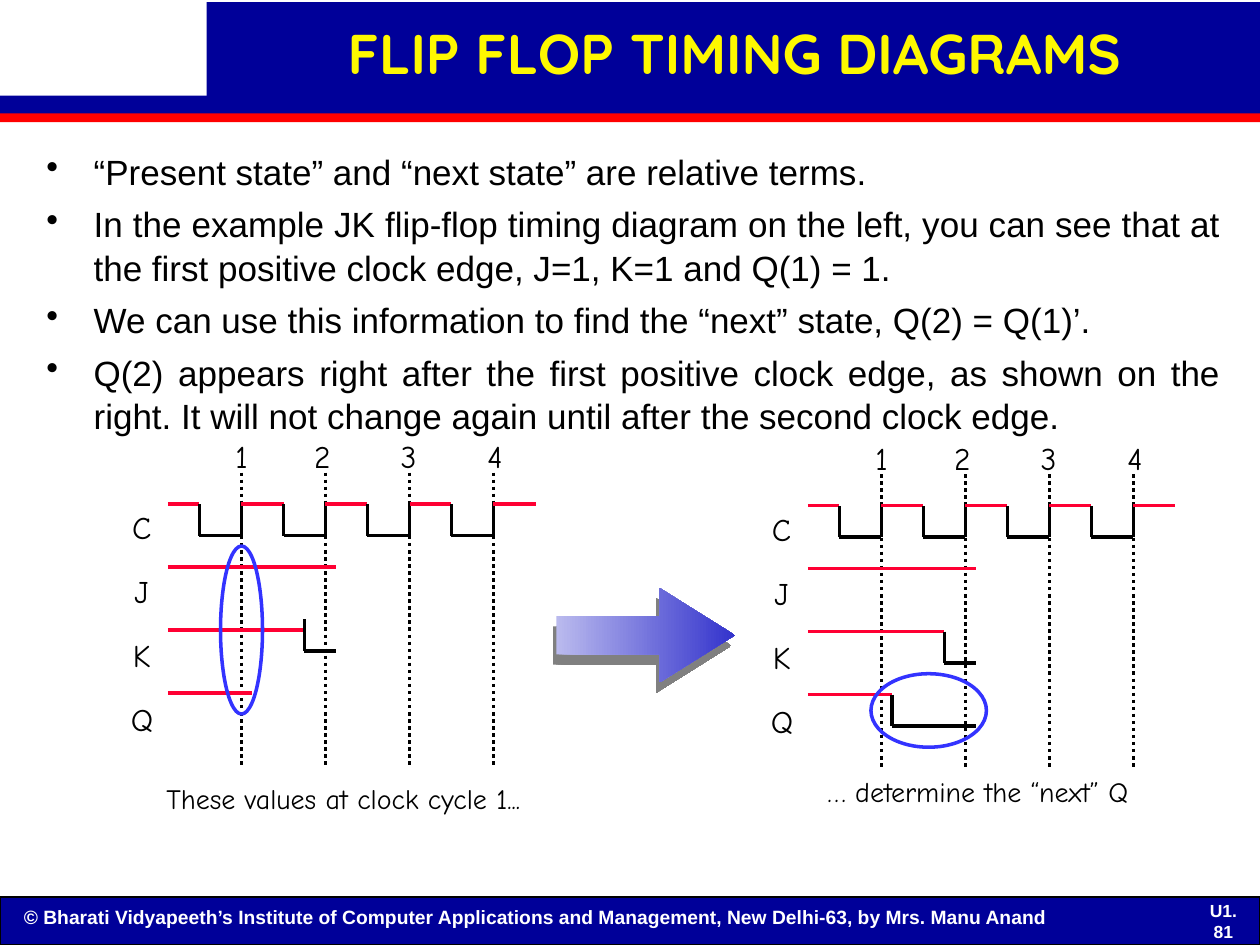
from lxml.etree import SubElement
from pptx import Presentation
from pptx.dml.color import RGBColor
from pptx.enum.dml import MSO_LINE
from pptx.enum.shapes import MSO_CONNECTOR, MSO_SHAPE
from pptx.enum.text import MSO_ANCHOR, PP_ALIGN
from pptx.oxml.ns import qn
from pptx.util import Pt

COLORS = {"navy": "000099", "red": "FF0000", "yellow": "FEF800", "white": "FFFFFF",
          "black": "000000", "high": "FF0033", "ring": "3333FF",
          "arrow start": "BABAEE", "arrow end": "3333CC", "shadow": "808080"}

# Content
TITLE = "FLIP FLOP TIMING DIAGRAMS"
BULLETS = [
    "“Present state” and “next state” are relative terms.",
    "In the example JK flip-flop timing diagram on the left, you can see that at "
    "the first positive clock edge, J=1, K=1 and Q(1) = 1.",
    "We can use this information to find the “next” state, Q(2) = Q(1)’.",
    "Q(2) appears right after the first positive clock edge, as shown on the "
    "right. It will not change again until after the second clock edge.",
]
FOOTER = ("© Bharati Vidyapeeth’s Institute of Computer Applications and Management, "
          "New Delhi-63, by Mrs. Manu Anand")
PAGE_NUMBER = "U1. 81"
SIGNALS = ["C", "J", "K", "Q"]
CYCLES = "1\t2\t3\t4"
CYCLE_TABS = [45, 94.5, 144]

# Diagram geometry: x counts from the start of the signals
HALF_CYCLE, FIRST_EDGE, SIGNAL_END = 24, 42, 96
CLOCK_HIGH, CLOCK_LOW = 288, 306
EDGES = [FIRST_EDGE + 2 * HALF_CYCLE * i for i in range(4)]

# Signal segments: (x1, y1, x2, y2, colour); rings and captions: left, top, width, height
DIAGRAMS = [
    {"x": 96, "dy": 0,
     "segments": [(0, 360, 78, 360, "high"), (78, 354, 78, 372, "black"),
                  (78, 372, SIGNAL_END, 372, "black"), (0, 396, 48, 396, "high")],
     "ring": (30, 312, 24, 96),
     "caption": "These values at clock cycle 1...", "caption box": (-8, 442.8, 217, 27)},
    {"x": 461.7, "dy": 1,
     "segments": [(0, 360, 78, 360, "high"), (78, 360, 78, 378, "black"),
                  (78, 378, SIGNAL_END, 378, "black"), (0, 396, 48, 396, "high"),
                  (48, 396, 48, 414, "black"), (48, 414, SIGNAL_END, 414, "black")],
     "ring": (36, 384, 66, 42),
     "caption": "… determine the “next” Q", "caption box": (4, 438.2, 186.5, 27)},
]

deck = Presentation()
deck.slide_width, deck.slide_height = Pt(720), Pt(540)
page = deck.slides.add_slide(deck.slide_layouts[6])


def rgb(name):
    return RGBColor.from_string(COLORS[name])


def add_figure(kind, area, fill=None, line=None, width=0.75):
    figure = page.shapes.add_shape(kind, *map(Pt, area))
    figure.shadow.inherit = False
    if fill:
        figure.fill.solid()
        figure.fill.fore_color.rgb = rgb(fill)
    else:
        figure.fill.background()
    if line:
        figure.line.color.rgb = rgb(line)
        figure.line.width = Pt(width)
    else:
        figure.line.fill.background()
    return figure


def add_line(x1, y1, x2, y2, color, dash=None):
    line = page.shapes.add_connector(MSO_CONNECTOR.STRAIGHT, *map(Pt, (x1, y1, x2, y2)))
    line.line.color.rgb = rgb(color)
    line.line.width = Pt(2)
    if dash:
        line.line.dash_style = dash
    SubElement(line._element.spPr, qn("a:effectLst"))


def add_text(area, texts, size, font="Arial", color="black", bold=False, wrap=True,
             align=PP_ALIGN.LEFT, anchor=MSO_ANCHOR.TOP, spacing=(None,),
             before=0, bullet=False, tabs=()):
    frame = page.shapes.add_textbox(*map(Pt, area)).text_frame
    frame.word_wrap = wrap
    frame.vertical_anchor = anchor
    for i, text in enumerate(texts):
        para = frame.add_paragraph() if i else frame.paragraphs[0]
        properties = para._p.get_or_add_pPr()
        if bullet:
            properties.set("marL", str(Pt(27)))
            properties.set("indent", str(-Pt(27)))
            SubElement(properties, qn("a:buChar"), char="•")
        if tabs:
            stops = SubElement(properties, qn("a:tabLst"))
            for stop in tabs:
                SubElement(stops, qn("a:tab"), pos=str(Pt(stop)), algn="l")
        para.alignment = align
        para.line_spacing = spacing[min(i, len(spacing) - 1)]
        if i and before:
            para.space_before = Pt(before)
        span = para.add_run()
        span.text = text
        span.font.size, span.font.name, span.font.bold = Pt(size), font, bold
        span.font.color.rgb = rgb(color)


# Header and footer
add_figure(MSO_SHAPE.RECTANGLE, (0, 512.6, 720, 27.4), "navy", "black")
add_figure(MSO_SHAPE.RECTANGLE, (0, 54.7, 720, 11), "navy")
add_figure(MSO_SHAPE.RECTANGLE, (0, 64.8, 720, 5), "red")
add_figure(MSO_SHAPE.RECTANGLE, (118, 1.2, 602, 58), "navy")
add_text((6.5, 514, 661, 21), [FOOTER], 11, color="white", bold=True)
add_text((680.4, 517.7, 37.4, 17.3), [PAGE_NUMBER], 10, color="white", bold=True,
         align=PP_ALIGN.CENTER, anchor=MSO_ANCHOR.MIDDLE)
add_text((117.4, 3.6, 604.8, 57.6), [TITLE], 32, "Quicksand", "yellow", True,
         align=PP_ALIGN.CENTER, anchor=MSO_ANCHOR.MIDDLE, spacing=(0.88,))

# Explanation
add_text((19.4, 81.5, 685.4, 170), BULLETS, 20, align=PP_ALIGN.JUSTIFY,
         spacing=(1.04,), before=5, bullet=True)

# Timing diagrams
for diagram in DIAGRAMS:
    x, dy = diagram["x"], diagram["dy"]
    segments = [(0, CLOCK_HIGH, FIRST_EDGE - HALF_CYCLE, CLOCK_HIGH, "high"),
                (0, 324, SIGNAL_END, 324, "high")]
    for edge in EDGES:
        fall = edge - HALF_CYCLE
        segments += [(fall, CLOCK_LOW, fall, CLOCK_HIGH, "black"),
                     (fall, CLOCK_LOW, edge, CLOCK_LOW, "black"),
                     (edge, CLOCK_LOW, edge, CLOCK_HIGH, "black"),
                     (edge, CLOCK_HIGH, edge + HALF_CYCLE, CLOCK_HIGH, "high")]
        add_line(x + edge, 270 + dy, x + edge, 438 + dy, "black", MSO_LINE.ROUND_DOT)
    for x1, y1, x2, y2, color in segments + diagram["segments"]:
        add_line(x + x1, y1 + dy, x + x2, y2 + dy, color)
    add_text((x - 28.3, 275.8 + dy, 26.6, 149.8), SIGNALS, 18, "Comic Neue", wrap=False,
             align=PP_ALIGN.CENTER, spacing=(1.5, 1.7))
    add_text((x + 31.4, 246.2 + dy, 167, 28.8), [CYCLES], 18, "Comic Neue", wrap=False,
             tabs=CYCLE_TABS)
    left, top, width, height = diagram["ring"]
    add_figure(MSO_SHAPE.OVAL, (x + left, top + dy, width, height), line="ring", width=2)
    left, top, width, height = diagram["caption box"]
    add_text((x + left, top + dy, width, height), [diagram["caption"]], 16,
             "Comic Neue", wrap=False)

# Arrow between the diagrams
arrow = add_figure(MSO_SHAPE.RIGHT_ARROW, (318, 336, 102, 54))
arrow.adjustments[0], arrow.adjustments[1] = 0.405, 0.796
arrow.fill.gradient()
arrow.fill.gradient_angle = 0
for stop, position, name in zip(arrow.fill.gradient_stops, (0, 1),
                                ("arrow start", "arrow end")):
    stop.position = position
    stop.color.rgb = rgb(name)
effects = arrow._element.spPr.find(qn("a:effectLst"))
shadow = SubElement(effects, qn("a:outerShdw"), blurRad="0", dist=str(Pt(6.3)),
                    dir=str(109 * 60000), algn="ctr", rotWithShape="0")
SubElement(shadow, qn("a:srgbClr"), val=COLORS["shadow"])

deck.save("out.pptx")
